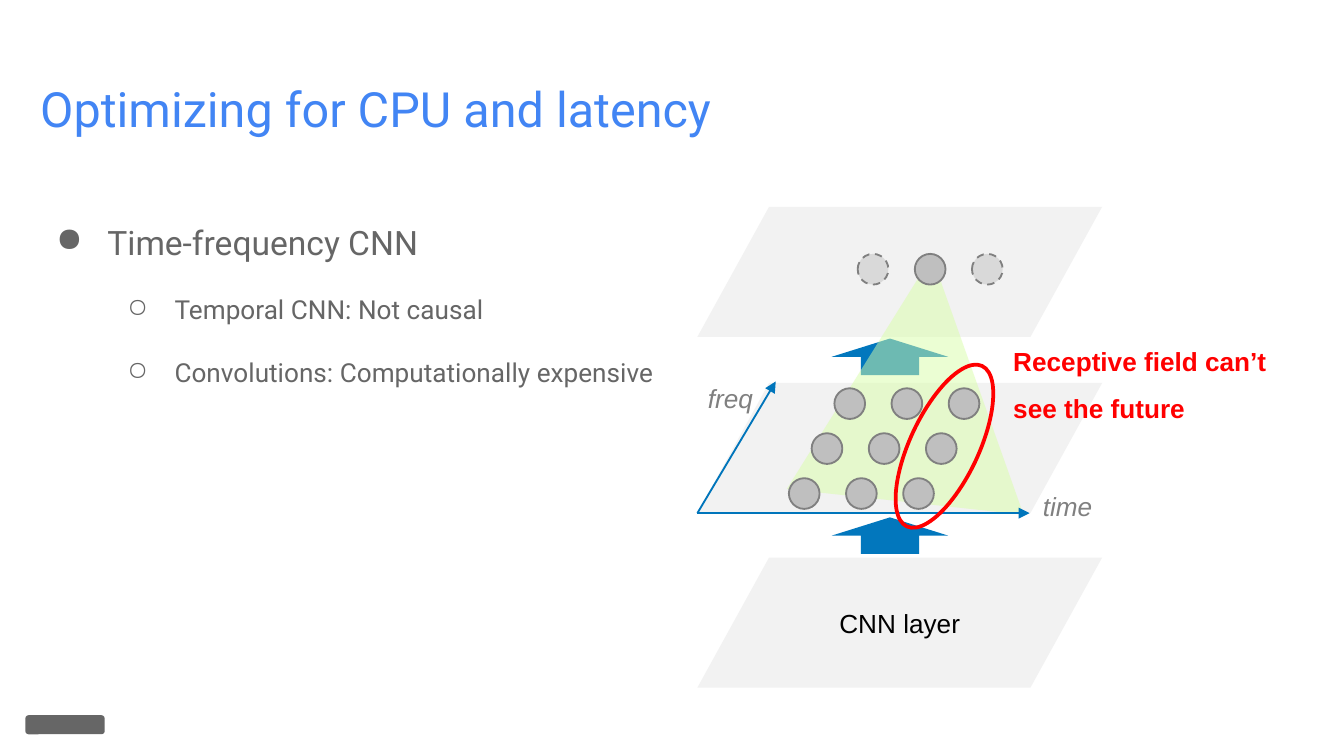
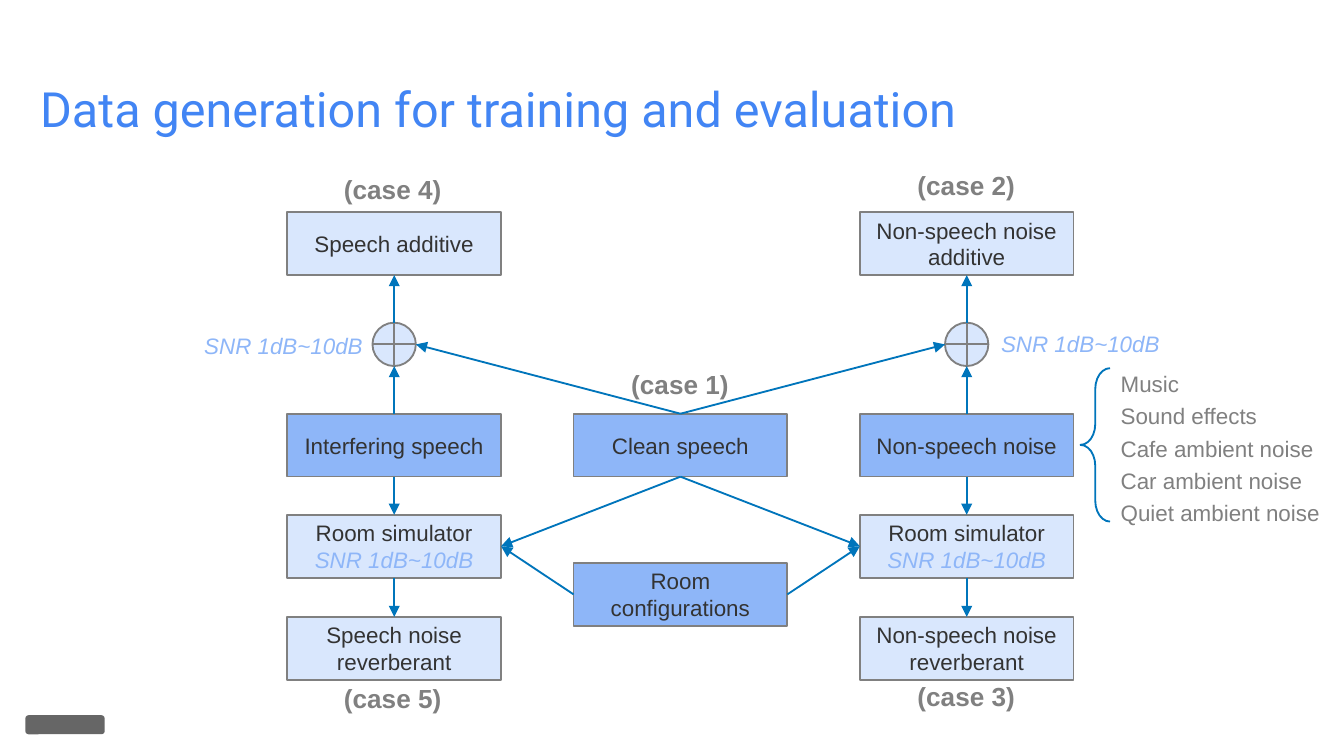
"""Build two slides on a time-frequency CNN and its training data."""
import lxml.etree
import pptx
import pptx.dml.color
import pptx.enum.dml
import pptx.enum.shapes
import pptx.enum.text
import pptx.oxml.ns
import pptx.util

Cm = pptx.util.Cm
Pt = pptx.util.Pt
qn = pptx.oxml.ns.qn
SHAPE = pptx.enum.shapes.MSO_SHAPE
ALIGN = pptx.enum.text.PP_ALIGN
ANCHOR = pptx.enum.text.MSO_ANCHOR

TITLE_BLUE = "4285F4"
ARROW_BLUE = "0075BB"
BLOCK_ARROW_BLUE = "0277BD"
SOURCE_BLUE = "8EB6F8"
RESULT_BLUE = "D9E7FD"
BODY_GREY = "666666"
LINE_GREY = "808080"
NODE_GREY = "BFBFBF"
FAINT_GREY = "D9D9D9"
PLANE_GREY = "F2F2F2"
FIELD_GREEN = "D9FEA8"
BOX_TEXT = "333333"
RED = "FF0000"
BLACK = "000000"

TOP, LEFT, BOTTOM, RIGHT = range(4)
SNR = "SNR 1dB~10dB"
AXIS_LABEL = {"size": 14, "color": LINE_GREY, "italic": True}
CASE_LABEL = {"size": 14, "color": LINE_GREY, "bold": True}
SNR_LABEL = {"size": 12, "color": SOURCE_BLUE, "italic": True}


def rgb(value):
    """Return the colour for a hex string."""
    return pptx.dml.color.RGBColor.from_string(value)


def add_xml(parent, tag, **attributes):
    """Append a DrawingML element to its parent."""
    return lxml.etree.SubElement(parent, qn(tag), attributes)


def style_run(run, font):
    """Apply a dict of font values to a run."""
    values = {"name": "Arial", **font}
    run.font.color.rgb = rgb(values.pop("color"))
    values["size"] = Pt(values["size"])
    for name, value in values.items():
        setattr(run.font, name, value)


def write_text(shape, lines, font, frame_format=None, paragraph_format=None):
    """Write lines, each a string or a (string, font changes) pair."""
    frame = shape.text_frame
    for name, value in (frame_format or {}).items():
        setattr(frame, name, value)
    for index, line in enumerate(lines):
        text, changes = (line, {}) if isinstance(line, str) else line
        paragraph = frame.add_paragraph() if index else frame.paragraphs[0]
        for name, value in (paragraph_format or {}).items():
            setattr(paragraph, name, value)
        run = paragraph.add_run()
        run.text = text
        style_run(run, {**font, **changes})


def add_text(slide, place, lines, font, frame_format=None, paragraph_format=None):
    """Add a text box at a place given in centimetres."""
    box = slide.shapes.add_textbox(*map(Cm, place))
    frame_format = {"word_wrap": True, **(frame_format or {})}
    write_text(box, lines, font, frame_format, paragraph_format)
    return box


def add_label(slide, place, text, font):
    """Add a one-line label that does not wrap."""
    return add_text(slide, place, [text], font, {"word_wrap": False})


def add_figure(slide, kind, place, fill=None, line=None, width=1, rotation=0, adjustments=()):
    """Add a preset shape with flat fill and outline."""
    shape = slide.shapes.add_shape(kind, *map(Cm, place))
    shape.shadow.inherit = False
    shape.rotation = rotation
    for index, value in enumerate(adjustments):
        shape.adjustments[index] = value
    if fill:
        shape.fill.solid()
        shape.fill.fore_color.rgb = rgb(fill)
    else:
        shape.fill.background()
    if line:
        shape.line.color.rgb = rgb(line)
        shape.line.width = Pt(width)
    else:
        shape.line.fill.background()
    return shape


def add_arrow(slide, begin, end):
    """Add a thin arrow between two points."""
    straight = pptx.enum.shapes.MSO_CONNECTOR.STRAIGHT
    arrow = slide.shapes.add_connector(straight, *begin, *end)
    arrow.line.color.rgb = rgb(ARROW_BLUE)
    arrow.line.width = Pt(1)
    properties = arrow.element.spPr
    add_xml(properties.find(qn("a:ln")), "a:tailEnd", type="triangle")
    add_xml(properties, "a:effectLst")
    return arrow


def side_point(shape, side):
    """Return the middle of a side of a shape."""
    across = {LEFT: 0, RIGHT: shape.width}.get(side, shape.width // 2)
    down = {TOP: 0, BOTTOM: shape.height}.get(side, shape.height // 2)
    return shape.left + across, shape.top + down


def link(slide, source, source_side, target, target_side):
    """Draw an arrow between two shapes and join it to rectangles."""
    arrow = add_arrow(slide, side_point(source, source_side), side_point(target, target_side))
    if source.auto_shape_type == SHAPE.RECTANGLE:
        arrow.begin_connect(source, source_side)
    if target.auto_shape_type == SHAPE.RECTANGLE:
        arrow.end_connect(target, target_side)


def add_bullet(paragraph, character, margin, indent):
    """Give a paragraph a hanging bullet."""
    properties = paragraph._p.get_or_add_pPr()
    properties.set("marL", str(Cm(margin)))
    properties.set("indent", str(Cm(indent)))
    add_xml(add_xml(properties, "a:buClr"), "a:srgbClr", val=BODY_GREY)
    add_xml(properties, "a:buChar", char=character)


def start_slide(presentation, title):
    """Add a blank slide with the shared title and footer mark."""
    slide = presentation.slides.add_slide(presentation.slide_layouts[6])
    add_figure(slide, SHAPE.ROUNDED_RECTANGLE, (0.48, 13.52, 1.5, 0.36), BODY_GREY)
    insets = dict.fromkeys(("margin_top", "margin_bottom"), Cm(0.25))
    font = {"name": "Roboto", "size": 26, "color": TITLE_BLUE}
    add_text(slide, (0.51, 1.24, 24.38, 1.6), [title], font, insets)
    return slide


def add_plane(slide, top):
    """Add one slanted layer of the network."""
    return add_figure(slide, SHAPE.PARALLELOGRAM, (13.18, top, 7.65, 2.46), PLANE_GREY,
                      adjustments=[0.551])


def add_node(slide, left, top, fill=NODE_GREY, dashed=False):
    """Add one unit of a layer."""
    node = add_figure(slide, SHAPE.OVAL, (left, top, 0.58, 0.58), fill, LINE_GREY)
    if dashed:
        node.line.dash_style = pptx.enum.dml.MSO_LINE.DASH


def build_latency_slide(presentation):
    """Build the slide on the receptive field of the CNN."""
    slide = start_slide(presentation, "Optimizing for CPU and latency")
    for top in (9.78, 6.4):
        add_figure(slide, SHAPE.UP_ARROW, (15.72, top, 2.2, 0.69), BLOCK_ARROW_BLUE)
    for top in (7.24, 3.91):
        add_plane(slide, top)
    field = add_figure(slide, SHAPE.ISOSCELES_TRIANGLE, (15.11, 4.83, 4.5, 4.67), FIELD_GREEN,
                       rotation=6.2)
    add_xml(next(field.element.spPr.iter(qn("a:srgbClr"))), "a:alpha", val="50000")
    write_text(add_plane(slide, 10.54), ["CNN layer"], {"size": 14, "color": BLACK},
               {"vertical_anchor": ANCHOR.MIDDLE}, {"alignment": ALIGN.CENTER})

    points = ["Time-frequency CNN",
              ("Temporal CNN: Not causal", {"size": 14}),
              ("Convolutions: Computationally expensive", {"size": 14})]
    body = add_text(slide, (0.51, 3.18, 12.24, 9.5), points,
                    {"name": "Roboto", "size": 18, "color": BODY_GREY},
                    {"margin_top": Cm(0.25)}, {"line_spacing": 2.0})
    first, *details = body.text_frame.paragraphs
    add_bullet(first, "●", 1.27, -0.97)
    for paragraph in details:
        paragraph.level = 1
        add_bullet(paragraph, "○", 2.54, -0.89)

    for end in ((14.66, 7.21), (19.46, 9.7)):
        add_arrow(slide, (Cm(13.18), Cm(9.7)), map(Cm, end))
    add_label(slide, (13.13, 7.11, 1.37, 0.86), "freq", AXIS_LABEL)
    add_label(slide, (19.46, 9.14, 1.45, 0.86), "time", AXIS_LABEL)

    for row in range(3):
        for column in range(3):
            add_node(slide, 15.77 - 0.43 * row + 1.08 * column, 7.34 + 0.85 * row)
    add_figure(slide, SHAPE.OVAL, (17.2, 6.76, 1.3, 3.35), line=RED, width=2, rotation=25.1)
    add_text(slide, (18.9, 6.1, 5.46, 1.93), ["Receptive field can’t see the future"],
             {"size": 14, "color": RED, "bold": True}, paragraph_format={"line_spacing": 1.5})
    for column, fill in enumerate((FAINT_GREY, NODE_GREY, FAINT_GREY)):
        add_node(slide, 16.21 + 1.08 * column, 4.8, fill, fill == FAINT_GREY)


def add_box(slide, column, top, fill, *lines):
    """Add one box of the flow chart in a column."""
    box = add_figure(slide, SHAPE.RECTANGLE, (5.43 + 5.41 * column, top, 4.04, 1.19),
                     fill, LINE_GREY)
    write_text(box, lines, {"size": 12, "color": BOX_TEXT},
               {"vertical_anchor": ANCHOR.MIDDLE}, {"alignment": ALIGN.CENTER})
    return box


def build_data_slide(presentation):
    """Build the flow chart of the five data cases."""
    slide = start_slide(presentation, "Data generation for training and evaluation")
    clean = add_box(slide, 1, 7.82, SOURCE_BLUE, "Clean speech")
    rooms = add_box(slide, 1, 10.64, SOURCE_BLUE, "Room configurations")

    branches = [
        (0, RIGHT, LEFT, "Interfering speech", "Speech additive", "Speech noise reverberant"),
        (2, LEFT, RIGHT, "Non-speech noise", "Non-speech noise additive",
         "Non-speech noise reverberant"),
    ]
    for column, inner, outer, source_name, additive_name, reverberant_name in branches:
        additive = add_box(slide, column, 4.01, RESULT_BLUE, additive_name)
        source = add_box(slide, column, 7.82, SOURCE_BLUE, source_name)
        simulator = add_box(slide, column, 9.73, RESULT_BLUE, "Room simulator",
                            (SNR, SNR_LABEL))
        reverberant = add_box(slide, column, 11.66, RESULT_BLUE, reverberant_name)
        mixer = add_figure(slide, SHAPE.FLOWCHART_OR, (7.04 + 5.41 * column, 6.1, 0.82, 0.82),
                           RESULT_BLUE, LINE_GREY)
        link(slide, source, TOP, mixer, BOTTOM)
        link(slide, mixer, TOP, additive, BOTTOM)
        link(slide, source, BOTTOM, simulator, TOP)
        link(slide, simulator, BOTTOM, reverberant, TOP)
        link(slide, clean, TOP, mixer, inner)
        link(slide, clean, BOTTOM, simulator, inner)
        link(slide, rooms, outer, simulator, inner)

    cases = [(11.68, 6.83), (17.09, 3.07), (17.09, 12.73), (6.25, 3.15), (6.25, 12.78)]
    for number, (left, top) in enumerate(cases, 1):
        add_label(slide, (left, top, 2.36, 0.86), f"(case {number})", CASE_LABEL)
    for left, top in ((18.67, 6.12), (3.61, 6.15)):
        add_label(slide, (left, top, 3.53, 0.76), SNR, SNR_LABEL)

    add_figure(slide, SHAPE.LEFT_BRACE, (20.42, 6.96, 0.56, 2.9), line=ARROW_BLUE,
               adjustments=[0.704, 0.5])
    noises = ["Music", "Sound effects", "Cafe ambient noise", "Car ambient noise",
              "Quiet ambient noise"]
    add_text(slide, (20.93, 6.78, 4.45, 3.28), noises, {"size": 12, "color": LINE_GREY},
             {"word_wrap": False, "vertical_anchor": ANCHOR.MIDDLE}, {"line_spacing": 1.2})


def main():
    """Build and save the presentation."""
    presentation = pptx.Presentation()
    presentation.slide_width = Cm(25.4)
    presentation.slide_height = Cm(14.29)
    build_latency_slide(presentation)
    build_data_slide(presentation)
    presentation.save("out.pptx")


if __name__ == "__main__":
    main()
